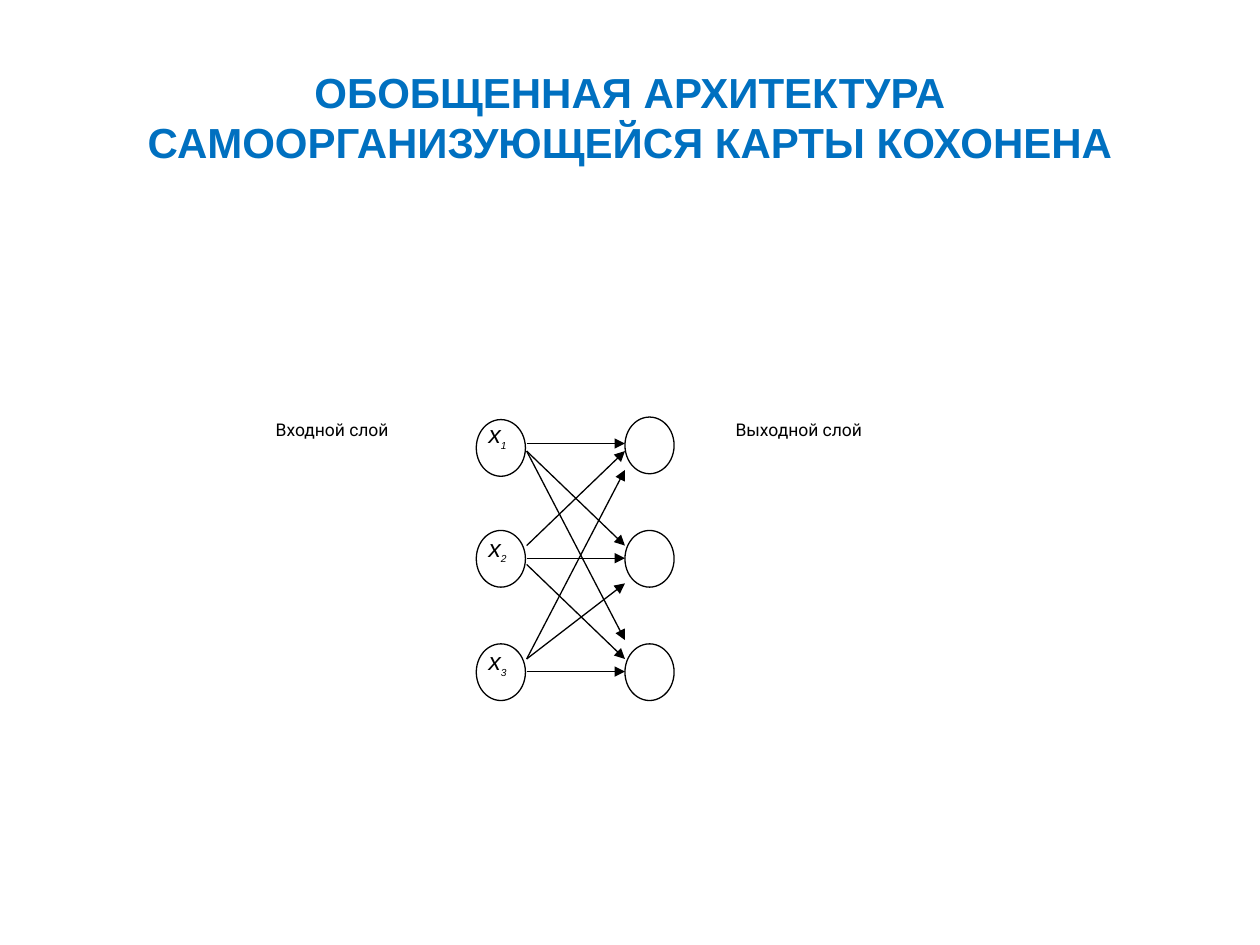
from dataclasses import dataclass

from lxml import etree
from pptx import Presentation
from pptx.dml.color import RGBColor
from pptx.enum.shapes import MSO_CONNECTOR, MSO_SHAPE
from pptx.enum.text import MSO_ANCHOR, PP_ALIGN
from pptx.oxml.ns import qn
from pptx.util import Inches, Pt

OVAL = MSO_SHAPE.OVAL
STRAIGHT = MSO_CONNECTOR.STRAIGHT
CENTER = PP_ALIGN.CENTER
MIDDLE = MSO_ANCHOR.MIDDLE


@dataclass(frozen=True)
class Theme:
    accent = RGBColor(0x00, 0x70, 0xC0)
    ink = RGBColor(0x00, 0x00, 0x00)
    line = Pt(0.75)
    title = dict(name="Arial", size=Pt(24), bold=True)
    symbol = dict(name="Arial", size=Pt(14), italic=True)
    index = dict(name="Arial", size=Pt(10), italic=True)
    caption = dict(name="Roboto", size=Pt(10))


THEME = Theme()

TITLE = "ОБОБЩЕННАЯ АРХИТЕКТУРА САМООРГАНИЗУЮЩЕЙСЯ КАРТЫ КОХОНЕНА"
NODE_W, NODE_H = 0.39, 0.45
ROW_STEP = 0.9
INPUT_X, ARROW_X, OUTPUT_X = 1.69, 2.09, 2.87
INPUT_TOPS = (0.05, 0.93, 1.83)
OUTPUT_TOPS = (0.03, 0.93, 1.83)
ARROWS = (
    (0.24, 0.24), (0.3, 1.05), (0.3, 1.8),
    (1.05, 0.3), (1.15, 1.15), (1.2, 1.95),
    (1.95, 0.45), (1.95, 1.35), (2.05, 2.05),
)


def add_run(p, text, style, color):
    r = p.add_run()
    r.text = text
    for name, value in style.items():
        setattr(r.font, name, value)
    r.font.color.rgb = color
    return r


def add_text(shapes, x, y, w, h):
    s = shapes.add_textbox(Inches(x), Inches(y), Inches(w), Inches(h))
    s.text_frame.word_wrap = True
    return s.text_frame.paragraphs[0]


def add_node(shapes, x, y):
    s = shapes.add_shape(OVAL, Inches(x), Inches(y), Inches(NODE_W), Inches(NODE_H))
    s.shadow.inherit = False
    s.fill.background()
    s.line.color.rgb = THEME.ink
    s.line.width = THEME.line


def add_arrow(shapes, x1, y1, x2, y2):
    c = shapes.add_connector(STRAIGHT, Inches(x1), Inches(y1), Inches(x2), Inches(y2))
    c.line.color.rgb = THEME.ink
    c.line.width = THEME.line
    sp_pr = c._element.spPr
    etree.SubElement(sp_pr.find(qn("a:ln")), qn("a:tailEnd"), type="triangle")
    etree.SubElement(sp_pr, qn("a:effectLst"))


def add_title(slide, x, y, w, h):
    s = slide.shapes.title
    s.left, s.top, s.width, s.height = (Inches(v) for v in (x, y, w, h))
    tf = s.text_frame
    tf.vertical_anchor = MIDDLE
    p = tf.paragraphs[0]
    p.alignment = CENTER
    add_run(p, TITLE, THEME.title, THEME.accent)


def add_network(slide, x, y):
    shapes = slide.shapes.add_group_shape().shapes
    for start, end in ARROWS:
        add_arrow(shapes, x + ARROW_X, y + start, x + OUTPUT_X, y + end)
    for i, (input_top, output_top) in enumerate(zip(INPUT_TOPS, OUTPUT_TOPS)):
        add_node(shapes, x + INPUT_X, y + input_top)
        add_node(shapes, x + OUTPUT_X, y + output_top)
        p = add_text(shapes, x + INPUT_X, y + i * ROW_STEP, 0.52, NODE_H)
        add_run(p, "x", THEME.symbol, THEME.ink)
        r = add_run(p, str(i + 1), THEME.index, THEME.ink)
        r._r.get_or_add_rPr().set("baseline", "-30000")
    for text, left, width in (("Входной слой", 0, 1.57), ("Выходной слой", 3.65, 1.7)):
        p = add_text(shapes, x + left, y, width, NODE_H)
        add_run(p, text, THEME.caption, THEME.ink)


def main():
    prs = Presentation()
    prs.slide_width, prs.slide_height = Inches(10), Inches(7.5)
    slide = prs.slides.add_slide(prs.slide_layouts[5])
    add_title(slide, 0.5, 0.3, 9, 1.25)
    add_network(slide, 2.09, 3.28)
    prs.save("out.pptx")


if __name__ == "__main__":
    main()
